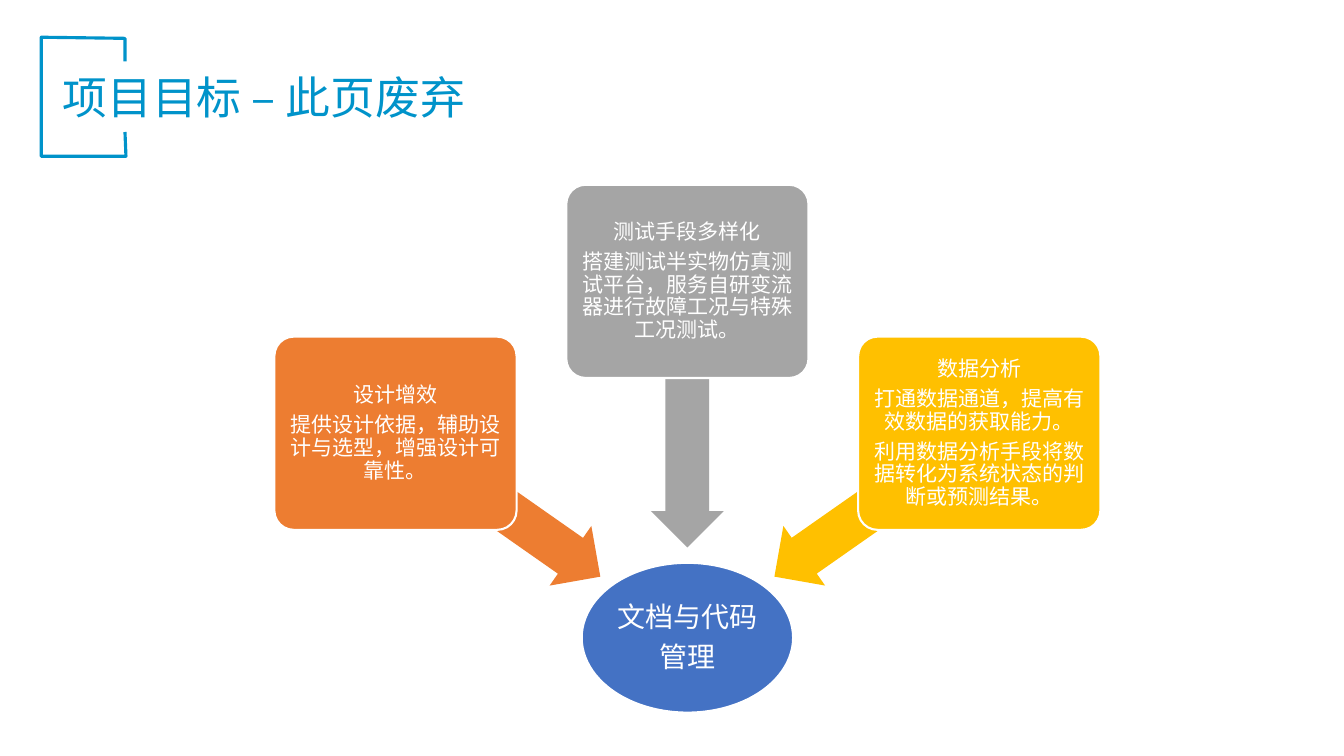
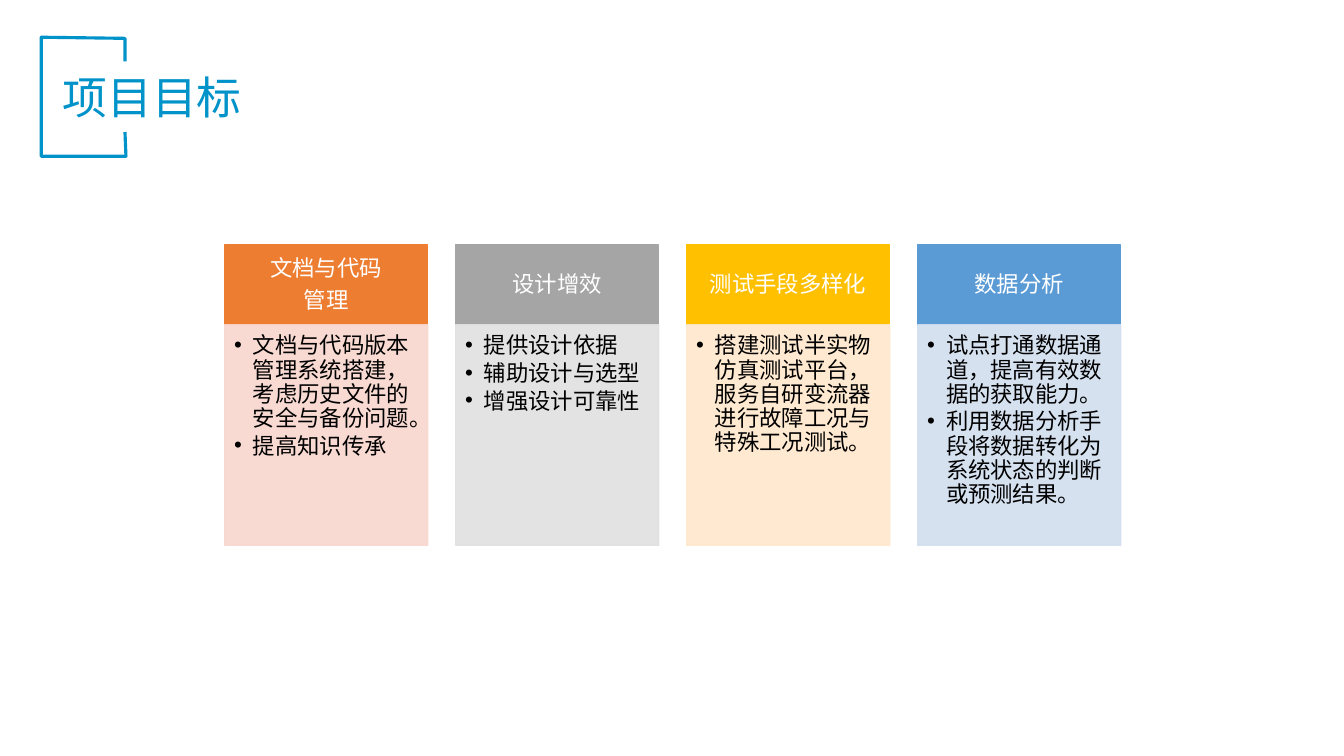
from dataclasses import dataclass
from typing import Any

from lxml import etree
from pptx import Presentation
from pptx import util as u
from pptx.dml.color import RGBColor
from pptx.enum import shapes, text
from pptx.oxml import ns

Pt = u.Pt

FONT = "Noto Sans CJK SC"
TITLE_BLUE = RGBColor(0x00, 0x93, 0xCA)
WHITE = RGBColor(0xFF, 0xFF, 0xFF)
BLACK = RGBColor(0x00, 0x00, 0x00)
BLUE = RGBColor(0x44, 0x72, 0xC4)
LIGHT_BLUE = RGBColor(0x5B, 0x9B, 0xD5)
ORANGE = RGBColor(0xED, 0x7D, 0x31)
GREY = RGBColor(0xA5, 0xA5, 0xA5)
YELLOW = RGBColor(0xFF, 0xC0, 0x00)
PALE_ORANGE = RGBColor(0xF8, 0xD7, 0xCE)
PALE_GREY = RGBColor(0xE1, 0xE1, 0xE1)
PALE_YELLOW = RGBColor(0xFF, 0xE8, 0xCC)
PALE_BLUE = RGBColor(0xD2, 0xDE, 0xEF)

BRACKET = [(89.3, 94.3), (90, 111.6), (29.5, 111.6),
           (29.5, 26.6), (89.3, 27.4), (89.3, 43.9)]

# Diagram of goals around a hub
CENTER_X = 491
HUB_TOP, HUB_WIDTH, HUB_HEIGHT = 402, 151, 107
GOAL_WIDTH, GOAL_HEIGHT, GOAL_STEP = 173, 138, 208.5
ARROW_HEIGHT = 52

# Columns
COLUMN_LEFT, COLUMN_STEP, COLUMN_WIDTH = 160.5, 165, 145
HEADER_TOP, HEADER_HEIGHT, BODY_HEIGHT = 175, 57, 157.5
BULLET_INDENT = 13.5


@dataclass
class TextStyle:
    size: float
    color: RGBColor
    insets: tuple[float, float, float, float]
    line_factor: float = 1.08
    after_factor: float = 0.35
    align: Any = text.PP_ALIGN.CENTER
    anchor: Any = text.MSO_ANCHOR.MIDDLE
    bulleted: bool = False


TITLE_STYLE = TextStyle(32, TITLE_BLUE, (7.2, 3.6, 7.2, 3.6), 1.2, 0,
                        text.PP_ALIGN.LEFT, text.MSO_ANCHOR.TOP)
HUB_STYLE = TextStyle(20, WHITE, (1, 1, 1, 1))
GOAL_STYLE = TextStyle(15, WHITE, (2, 2, 2, 2))
HEADER_STYLE = TextStyle(16, WHITE, (9, 5, 9, 5))
BODY_STYLE = TextStyle(16, BLACK, (6.72, 6.72, 9, 10), after_factor=0.15,
                       align=text.PP_ALIGN.LEFT, anchor=text.MSO_ANCHOR.TOP,
                       bulleted=True)


@dataclass
class Goal:
    """A box, with an arrow placed by its centre, pointing at the hub."""
    column: int
    top: float
    color: RGBColor
    arrow_offset: float
    arrow_middle: float
    arrow_length: float
    rotation: float
    lines: list[str]


@dataclass
class Column:
    color: RGBColor
    pale: RGBColor
    heading: list[str]
    points: list[str]


GOALS = [
    Goal(-1, 240.5, ORANGE, -135.3, 360.7, 178.5, 215,
         ["设计增效", "提供设计依据，辅助设计与选型，增强设计可靠性。"]),
    Goal(0, 132, GREY, 0, 296, 190, 270,
         ["测试手段多样化",
          "搭建测试半实物仿真测试平台，服务自研变流器进行故障工况与特殊工况测试。"]),
    Goal(1, 240.5, YELLOW, 135.3, 360.7, 178.5, 325,
         ["数据分析", "打通数据通道，提高有效数据的获取能力。",
          "利用数据分析手段将数据转化为系统状态的判断或预测结果。"]),
]

COLUMNS = [
    Column(ORANGE, PALE_ORANGE, ["文档与代码", "管理"],
           ["文档与代码版本管理系统搭建，考虑历史文件的安全与备份问题。",
            "提高知识传承"]),
    Column(GREY, PALE_GREY, ["设计增效"],
           ["提供设计依据", "辅助设计与选型", "增强设计可靠性"]),
    Column(YELLOW, PALE_YELLOW, ["测试手段多样化"],
           ["搭建测试半实物仿真测试平台，服务自研变流器进行故障工况与特殊工况测试。"]),
    Column(LIGHT_BLUE, PALE_BLUE, ["数据分析"],
           ["试点打通数据通道，提高有效数据的获取能力。",
            "利用数据分析手段将数据转化为系统状态的判断或预测结果。"]),
]


def set_values(target: Any, values: dict[str, Any]) -> None:
    for name, value in values.items():
        setattr(target, name, value)


def add_bullet(paragraph: Any) -> None:
    properties = paragraph._p.get_or_add_pPr()
    properties.set("marL", str(Pt(BULLET_INDENT)))
    properties.set("indent", str(-Pt(BULLET_INDENT)))
    etree.SubElement(properties, ns.qn("a:buFont"), typeface="Arial")
    etree.SubElement(properties, ns.qn("a:buChar"), char="•")


def write_text(shape: Any, lines: list[str], style: TextStyle) -> None:
    frame = shape.text_frame
    left, top, right, bottom = map(Pt, style.insets)
    set_values(frame, {
        "word_wrap": True, "vertical_anchor": style.anchor,
        "margin_left": left, "margin_top": top,
        "margin_right": right, "margin_bottom": bottom,
    })
    for index, line in enumerate(lines):
        paragraph = frame.add_paragraph() if index else frame.paragraphs[0]
        if style.bulleted:
            add_bullet(paragraph)
        set_values(paragraph, {
            "alignment": style.align,
            "line_spacing": Pt(style.size * style.line_factor),
            "space_after": Pt(style.size * style.after_factor),
        })
        run = paragraph.add_run()
        run.text = line
        set_values(run.font, {"name": FONT, "size": Pt(style.size)})
        run.font.color.rgb = style.color
        etree.SubElement(run.font._element, ns.qn("a:ea"), typeface=FONT)


def add_block(slide: Any, kind: Any, left: float, top: float, width: float,
              height: float, fill: RGBColor, line: RGBColor | None = None,
              line_width: float = 1) -> Any:
    shape = slide.shapes.add_shape(kind, Pt(left), Pt(top), Pt(width), Pt(height))
    shape.shadow.inherit = False
    shape.fill.solid()
    shape.fill.fore_color.rgb = fill
    if line is None:
        shape.line.fill.background()
    else:
        shape.line.color.rgb = line
        shape.line.width = Pt(line_width)
    return shape


def set_opacity(shape: Any, percent: int) -> None:
    """Apply the opacity to both fill and outline."""
    for color in shape._element.spPr.iter(ns.qn("a:srgbClr")):
        etree.SubElement(color, ns.qn("a:alpha"), val=str(percent * 1000))


def add_titled_slide(presentation: Any, title: str) -> Any:
    slide = presentation.slides.add_slide(presentation.slide_layouts[6])
    start, *rest = [(Pt(x), Pt(y)) for x, y in BRACKET]
    builder = slide.shapes.build_freeform(*start)
    builder.add_line_segments(rest, close=False)
    bracket = builder.convert_to_shape()
    bracket.shadow.inherit = False
    bracket.fill.background()
    bracket.line.color.rgb = TITLE_BLUE
    bracket.line.width = Pt(2.25)
    box = slide.shapes.add_textbox(Pt(37.5), Pt(46), Pt(702), Pt(46))
    write_text(box, [title], TITLE_STYLE)
    return slide


def add_goal(slide: Any, goal: Goal) -> None:
    arrow = add_block(slide, shapes.MSO_SHAPE.LEFT_ARROW,
                      CENTER_X + goal.arrow_offset - goal.arrow_length / 2,
                      goal.arrow_middle - ARROW_HEIGHT / 2,
                      goal.arrow_length, ARROW_HEIGHT, goal.color)
    arrow.adjustments[0] = 0.6
    arrow.adjustments[1] = 0.5
    arrow.rotation = goal.rotation
    box = add_block(slide, shapes.MSO_SHAPE.ROUNDED_RECTANGLE,
                    CENTER_X + goal.column * GOAL_STEP - GOAL_WIDTH / 2,
                    goal.top, GOAL_WIDTH, GOAL_HEIGHT, goal.color, WHITE, 1.5)
    box.adjustments[0] = 0.1
    write_text(box, goal.lines, GOAL_STYLE)


def add_column(slide: Any, index: int, column: Column) -> None:
    left = COLUMN_LEFT + index * COLUMN_STEP
    rectangle = shapes.MSO_SHAPE.RECTANGLE
    header = add_block(slide, rectangle, left, HEADER_TOP, COLUMN_WIDTH,
                       HEADER_HEIGHT, column.color, column.color)
    write_text(header, column.heading, HEADER_STYLE)
    body = add_block(slide, rectangle, left, HEADER_TOP + HEADER_HEIGHT,
                     COLUMN_WIDTH, BODY_HEIGHT, column.pale, column.pale)
    set_opacity(body, 90)
    write_text(body, column.points, BODY_STYLE)


def main() -> None:
    presentation = Presentation()
    set_values(presentation, {"slide_width": Pt(960), "slide_height": Pt(540)})

    diagram_slide = add_titled_slide(presentation, "项目目标 – 此页废弃")
    hub = add_block(diagram_slide, shapes.MSO_SHAPE.OVAL,
                    CENTER_X - HUB_WIDTH / 2, HUB_TOP, HUB_WIDTH, HUB_HEIGHT,
                    BLUE, WHITE, 1.5)
    write_text(hub, ["文档与代码", "管理"], HUB_STYLE)
    for goal in GOALS:
        add_goal(diagram_slide, goal)

    column_slide = add_titled_slide(presentation, "项目目标")
    for index, column in enumerate(COLUMNS):
        add_column(column_slide, index, column)

    presentation.save("out.pptx")


if __name__ == "__main__":
    main()
